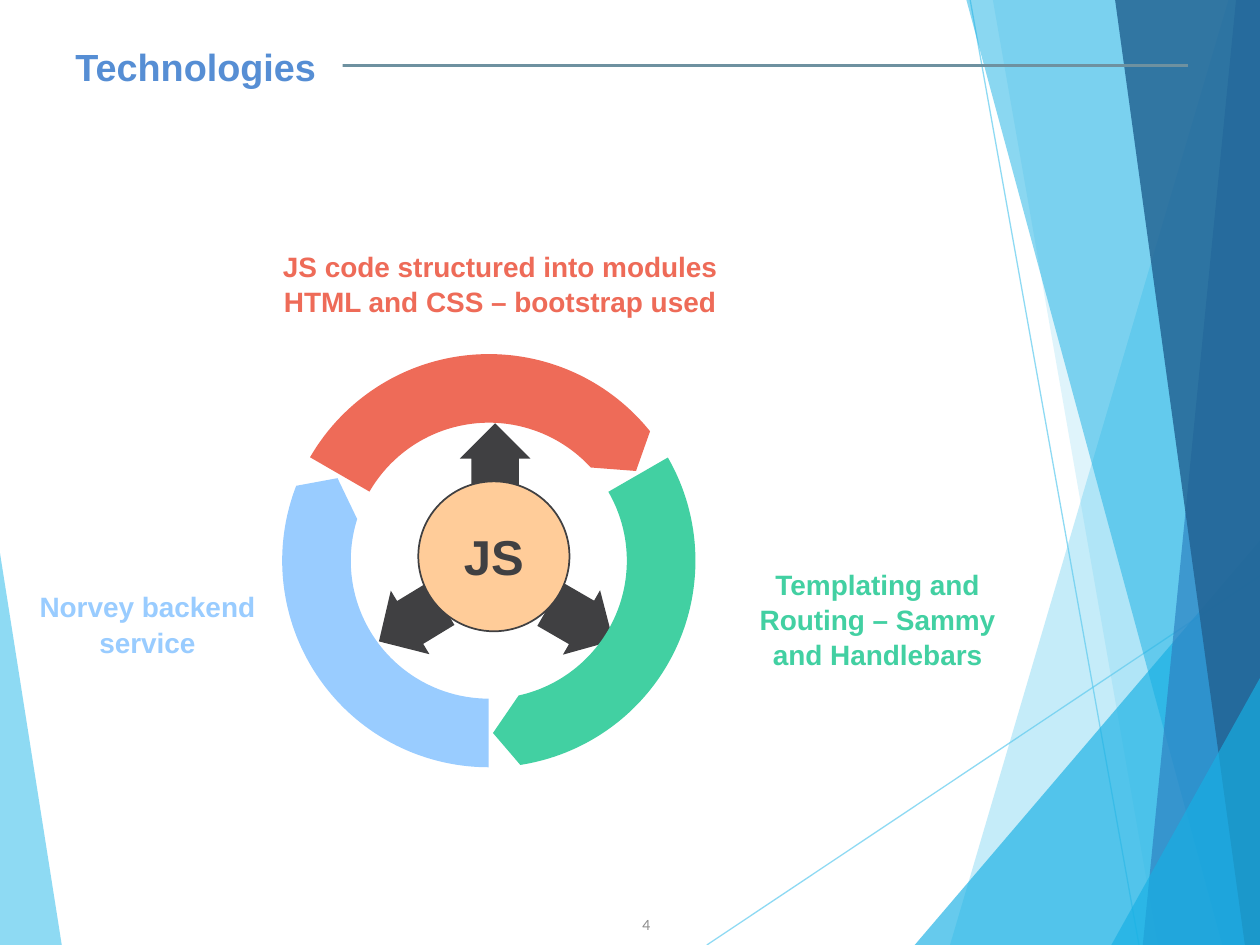
from lxml.etree import SubElement
from pptx import Presentation
from pptx.dml.color import RGBColor
from pptx.enum.shapes import MSO_CONNECTOR, MSO_SHAPE
from pptx.enum.text import MSO_ANCHOR, PP_ALIGN
from pptx.oxml.ns import qn
from pptx.util import Inches, Pt

COLUMNS, ROWS = 100, 75
CELL = Inches(0.1)
COLORS = {
    "sky": "5FCBEF", "cyan": "17B0E4", "blue": "2E83C3", "navy": "226292",
    "rule": "6E91A0", "title": "568ED4", "dark": "404042", "peach": "FFCC99",
    "light": "99CCFF", "coral": "EE6B58", "green": "42D0A2",
    "gray": "8C8C8C", "white": "FFFFFF",
}
FACETS_BEHIND = [
    ("sky", 70, [(0, 43.9), (4.9, ROWS), (0, ROWS)]),
]
FACETS_FRONT = [
    ("sky", 36, [(97.5, 0), (75.4, ROWS), (COLUMNS, ROWS), (COLUMNS, 0)]),
    ("sky", 20, [(78.8, 0), (91.9, ROWS), (COLUMNS, ROWS), (COLUMNS, 0)]),
    ("cyan", 66, [(72.6, ROWS), (COLUMNS, 42.9), (COLUMNS, ROWS)]),
    ("cyan", 50, [(76.7, 0), (97, ROWS), (COLUMNS, ROWS), (COLUMNS, 0)]),
    ("blue", 70, [(98.1, 0), (90.7, ROWS), (COLUMNS, ROWS), (COLUMNS, 0)]),
    ("navy", 82, [(88.5, 0), (98.8, ROWS), (COLUMNS, ROWS), (COLUMNS, 0)]),
    ("cyan", 66, [(88.2, ROWS), (COLUMNS, 53.8), (COLUMNS, ROWS)]),
]
RAYS = [((56.1, ROWS), (COLUMNS, 45.7)), ((77, 0), (90.4, ROWS))]
POINTERS = [
    ((43.2, 46.5, 5.9, 5.8), 120),
    ((36.5, 33.6, 5.6, 6), 0),
    ((29.6, 46.5, 5.9, 5.8), 238.7),
]
RING = (22.4, 28.1, 32.8, 32.8)
RING_ADJUSTMENTS = [0.312, 5.316, 108.391, 42.566, 0.083]
LABELS = [
    ((19.1, 19.2, 41.2, 6.4), "coral",
     "JS code structured into modules\nHTML and CSS – bootstrap used"),
    ((1.2, 46.2, 21, 6.4), "light", "Norvey backend service"),
    ((57.9, 44.4, 23.5, 9.1), "green",
     "Templating and Routing – Sammy and Handlebars"),
]


def cells(*counts):
    """Turn grid counts into lengths."""
    return [int(count * CELL) for count in counts]


def rgb(name):
    """Look up a colour by name."""
    return RGBColor.from_string(COLORS[name])


def set_alpha(fill_parent, percent):
    """Make the solid fill inside an element partly transparent."""
    color = fill_parent.find(".//" + qn("a:srgbClr"))
    SubElement(color, qn("a:alpha")).set("val", str(percent * 1000))


def paint(shape, color):
    """Give a shape a flat fill without outline or shadow."""
    shape.shadow.inherit = False
    shape.fill.solid()
    shape.fill.fore_color.rgb = rgb(color)
    shape.line.fill.background()


def add_facet(page, color, opacity, points):
    """Draw one translucent background polygon."""
    corners = [cells(*point) for point in points]
    builder = page.shapes.build_freeform(*corners[0], scale=1.0)
    builder.add_line_segments(corners[1:], close=True)
    facet = builder.convert_to_shape()
    paint(facet, color)
    set_alpha(facet.fill._xPr, opacity)


def add_line(page, start, end, color, width, opacity=100):
    """Draw a straight line between two grid points."""
    line = page.shapes.add_connector(
        MSO_CONNECTOR.STRAIGHT, *cells(*start), *cells(*end))
    line.line.color.rgb = rgb(color)
    line.line.width = Pt(width)
    properties = line._element.spPr
    if opacity < 100:
        set_alpha(properties, opacity)
    SubElement(properties, qn("a:effectLst"))


def add_figure(page, kind, area, color, rotation=0, adjustments=()):
    """Draw a preset shape in a grid area."""
    figure = page.shapes.add_shape(kind, *cells(*area))
    paint(figure, color)
    figure.rotation = rotation
    for index, value in enumerate(adjustments):
        figure.adjustments[index] = value
    return figure


def write(box, text, size, color, align=PP_ALIGN.CENTER, anchor=MSO_ANCHOR.TOP,
          font="Arial", bold=True, spacing=None):
    """Fill a box with uniformly formatted text."""
    frame = box.text_frame
    frame.text = text
    frame.word_wrap = True
    frame.vertical_anchor = anchor
    for para in frame.paragraphs:
        para.alignment = align
        if spacing:
            para.line_spacing = spacing
        for span in para.runs:
            span.font.name = font
            span.font.size = Pt(size)
            span.font.bold = bold
            span.font.color.rgb = rgb(color)


def add_background(page):
    """Draw the facets and rays behind the content."""
    for facet in FACETS_BEHIND:
        add_facet(page, *facet)
    for start, end in RAYS:
        add_line(page, start, end, "sky", 0.75, 70)
    for facet in FACETS_FRONT:
        add_facet(page, *facet)


def add_cycle(page):
    """Draw the pointers and the three ring arrows."""
    for area, rotation in POINTERS:
        add_figure(page, MSO_SHAPE.UP_ARROW, area, "dark", rotation, [0.675, 0.5])
    for turn, color in enumerate(("light", "coral", "green")):
        add_figure(page, MSO_SHAPE.CIRCULAR_ARROW, RING, color,
                   19.1 + 120 * turn, RING_ADJUSTMENTS)


def add_hub(page):
    """Draw the circle in the middle of the cycle."""
    hub = add_figure(page, MSO_SHAPE.OVAL, (33.2, 38.2, 12, 11.9), "peach")
    hub.line.color.rgb = rgb("dark")
    hub.line.width = Pt(1)
    write(hub, "JS", 28, "dark", anchor=MSO_ANCHOR.MIDDLE)
    frame = hub.text_frame
    frame.word_wrap = False
    frame.margin_left = frame.margin_right = Inches(0.01)
    frame.margin_top = frame.margin_bottom = 0


def main():
    """Build and save the slide."""
    deck = Presentation()
    deck.slide_width, deck.slide_height = cells(COLUMNS, ROWS)
    page = deck.slides.add_slide(deck.slide_layouts[6])
    add_background(page)
    add_line(page, (5.7, 5.2), (94.3, 5.2), "rule", 1.5)
    add_cycle(page)
    number = page.shapes.add_textbox(*cells(47.4, 71.4, 5.2, 4))
    write(number, "4", 8, "gray", PP_ALIGN.RIGHT, MSO_ANCHOR.MIDDLE, "Lato", False)
    title = add_figure(page, MSO_SHAPE.RECTANGLE, (5, 3, 22.2, 4.6), "white")
    write(title, "Technologies", 21.6, "title", PP_ALIGN.LEFT, MSO_ANCHOR.BOTTOM)
    add_hub(page)
    for area, color, text in LABELS:
        label = page.shapes.add_textbox(*cells(*area))
        write(label, text, 16, color, spacing=1.05)
    deck.save("out.pptx")


main()
